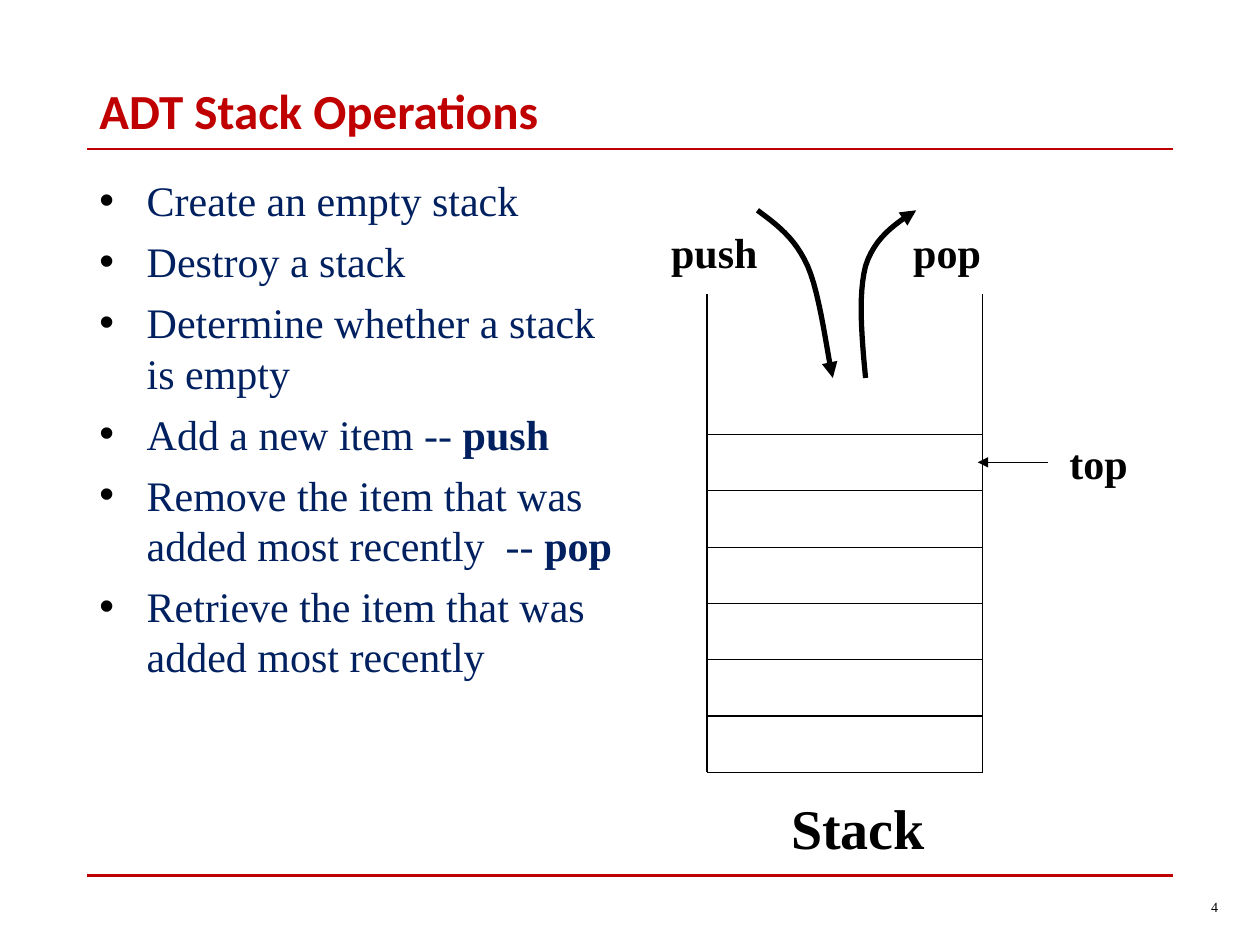
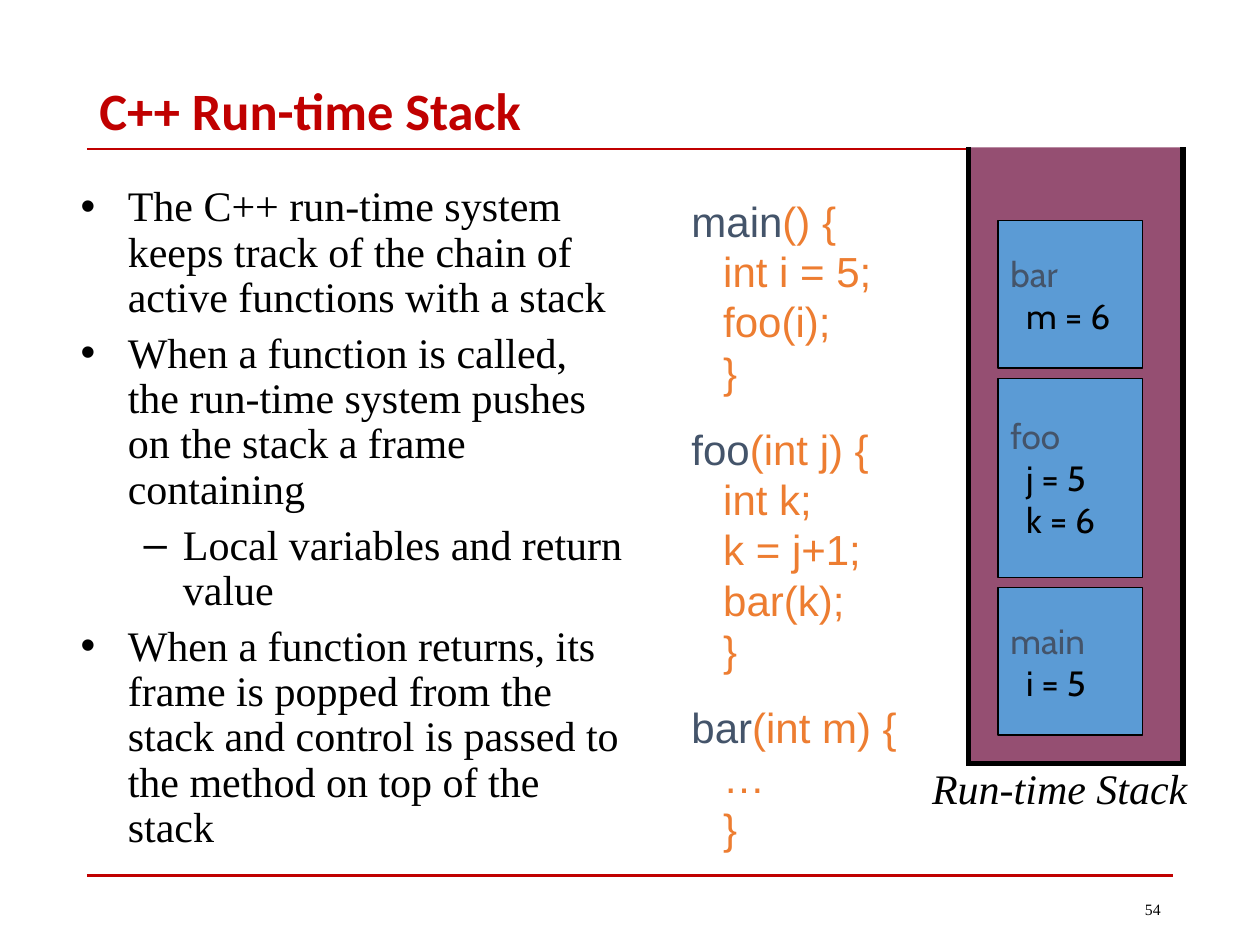
from lxml import etree
from pptx import Presentation
from pptx.dml.color import RGBColor
from pptx.enum.shapes import MSO_CONNECTOR, MSO_SHAPE
from pptx.enum.text import MSO_ANCHOR, MSO_AUTO_SIZE, PP_ALIGN
from pptx.oxml.ns import qn
from pptx.util import Cm, Pt

STRAIGHT = MSO_CONNECTOR.STRAIGHT
RECTANGLE = MSO_SHAPE.RECTANGLE
TOP, MIDDLE = MSO_ANCHOR.TOP, MSO_ANCHOR.MIDDLE
LEFT, CENTER, RIGHT = PP_ALIGN.LEFT, PP_ALIGN.CENTER, PP_ALIGN.RIGHT
NO_AUTO_SIZE = MSO_AUTO_SIZE.NONE

BLACK = RGBColor(0x00, 0x00, 0x00)
RED = RGBColor(0xC0, 0x00, 0x00)
NAVY = RGBColor(0x00, 0x20, 0x60)
SLATE = RGBColor(0x44, 0x54, 0x6A)
ORANGE = RGBColor(0xED, 0x7D, 0x31)
PLUM = RGBColor(0x95, 0x4F, 0x72)
BLUE = RGBColor(0x5B, 0x9B, 0xD5)

SERIF = "Times New Roman"
SANS = "Arial"
TITLE_FONT = "Calibri"
FRAME_FONT = "Cabin"

RULE_LEFT, RULE_RIGHT = 1.75, 23.65
RULE_HEIGHTS = (3.0, 17.65)
TITLE_BOX = (1.75, 1.55, 21.9, 1.47)
CURVE_STEPS = 12


def add_run(paragraph, text, size, font, color, bold, italic):
    for index, line in enumerate(text.split("\n")):
        if index:
            paragraph.add_line_break()
        if line:
            run = paragraph.add_run()
            run.text = line
            run.font.size = Pt(size)
            run.font.name = font
            run.font.bold = bold
            run.font.italic = italic
            run.font.color.rgb = color


def add_bullet_color(paragraph, color):
    properties = paragraph._p.get_or_add_pPr()
    bullet_color = etree.SubElement(properties, qn("a:buClr"))
    etree.SubElement(bullet_color, qn("a:srgbClr"), val=str(color))


def add_tab_stop(paragraph, position):
    properties = paragraph._p.get_or_add_pPr()
    tabs = etree.SubElement(properties, qn("a:tabLst"))
    etree.SubElement(tabs, qn("a:tab"), pos=str(Cm(position)), algn="l")


def write_text(text_frame, paragraphs, *, size=24, font=SERIF, color=BLACK, bold=False,
               italic=False, align=LEFT, anchor=TOP, wrap=True, space_before=0,
               line_spacing=None, levels=None, bullet_color=None, tab=None):
    text_frame.auto_size = NO_AUTO_SIZE
    text_frame.word_wrap = wrap
    text_frame.vertical_anchor = anchor
    for index, runs in enumerate(paragraphs):
        paragraph = text_frame.add_paragraph() if index else text_frame.paragraphs[0]
        if bullet_color is not None:
            add_bullet_color(paragraph, bullet_color)
        if tab:
            add_tab_stop(paragraph, tab)
        if levels:
            paragraph.level = levels[index]
        paragraph.alignment = align
        paragraph.space_before = Pt(space_before if index else 0)
        if line_spacing:
            paragraph.line_spacing = line_spacing
        for run in [runs] if isinstance(runs, str) else runs:
            text, changes = (run, {}) if isinstance(run, str) else run
            run_format = dict(size=size, font=font, color=color, bold=bold, italic=italic)
            add_run(paragraph, text, **{**run_format, **changes})


def add_label(slide, box, text, **text_format):
    label = slide.shapes.add_textbox(*map(Cm, box))
    write_text(label.text_frame, [text], **text_format)


def fill_placeholder(placeholder, box, paragraphs, **text_format):
    placeholder.left, placeholder.top, placeholder.width, placeholder.height = map(Cm, box)
    write_text(placeholder.text_frame, paragraphs, **text_format)


def add_arrowhead(shape):
    etree.SubElement(shape.line._get_or_add_ln(), qn("a:tailEnd"), type="triangle")


def add_line(slide, start, end, color=BLACK, width=0.75, arrow=False):
    line = slide.shapes.add_connector(STRAIGHT, *map(Cm, (*start, *end)))
    line.line.color.rgb = color
    line.line.width = Pt(width)
    if arrow:
        add_arrowhead(line)
    etree.SubElement(line._element.spPr, qn("a:effectLst"))


def curve_points(start, *segments):
    points = [start]
    for first, second, end in segments:
        origin = points[-1]
        for step in range(1, CURVE_STEPS + 1):
            t = step / CURVE_STEPS
            weights = ((1 - t) ** 3, 3 * t * (1 - t) ** 2, 3 * t ** 2 * (1 - t), t ** 3)
            controls = (origin, first, second, end)
            points.append(tuple(sum(weight * control[axis]
                                    for weight, control in zip(weights, controls))
                                for axis in (0, 1)))
    return points


def add_curved_arrow(slide, start, *segments):
    points = [(Cm(x), Cm(y)) for x, y in curve_points(start, *segments)]
    builder = slide.shapes.build_freeform(*points[0])
    builder.add_line_segments(points[1:], close=False)
    arrow = builder.convert_to_shape()
    arrow.shadow.inherit = False
    arrow.fill.background()
    arrow.line.color.rgb = BLACK
    arrow.line.width = Pt(3)
    add_arrowhead(arrow)


def add_rectangle(slide, box, fill, line=None):
    rectangle = slide.shapes.add_shape(RECTANGLE, *map(Cm, box))
    rectangle.shadow.inherit = False
    rectangle.fill.solid()
    rectangle.fill.fore_color.rgb = fill
    if line is None:
        rectangle.line.fill.background()
    else:
        rectangle.line.color.rgb = line
        rectangle.line.width = Pt(0.75)
    return rectangle


def add_content_slide(presentation, title, title_size):
    slide = presentation.slides.add_slide(presentation.slide_layouts[1])
    for height in RULE_HEIGHTS:
        add_line(slide, (RULE_LEFT, height), (RULE_RIGHT, height), RED, 1.5)
    fill_placeholder(slide.shapes.title, TITLE_BOX, [title], size=title_size,
                     font=TITLE_FONT, color=RED, bold=True, anchor=MIDDLE, line_spacing=0.9)
    return slide


def draw_stack(slide):
    left, right, rim, top, bottom = 14.25, 19.81, 5.93, 8.76, 15.57
    slots = 6
    slot_height = (bottom - top) / slots
    for x in (left, right):
        add_line(slide, (x, rim), (x, bottom))
    for index in range(slots + 1):
        y = top + index * slot_height
        add_line(slide, (left, y), (right, y))
    add_curved_arrow(slide, (15.27, 4.24),
                     ((15.65, 4.52), (16.03, 4.8), (16.28, 5.36)),
                     ((16.54, 5.94), (16.69, 7.24), (16.79, 7.62)))
    add_curved_arrow(slide, (17.45, 7.62),
                     ((17.37, 6.78), (17.3, 5.94), (17.45, 5.36)),
                     ((17.63, 4.8), (18.03, 4.52), (18.47, 4.24)))
    add_line(slide, (21.13, 9.32), (19.71, 9.32), arrow=True)
    add_label(slide, (13.28, 4.45, 2.54, 1.27), "push", bold=True)
    add_label(slide, (18.16, 4.45, 2.74, 1.27), "pop", bold=True)
    add_label(slide, (21.31, 8.69, 3.12, 1.7), "top", bold=True)
    add_label(slide, (13.49, 15.88, 7.62, 1.63), "Stack", size=32, bold=True, align=CENTER)


def draw_runtime_stack(slide):
    left, right, top, bottom = 19.53, 23.85, 2.97, 15.44
    add_rectangle(slide, (left, top, right - left, bottom - top), PLUM)
    for x in (left, right):
        add_line(slide, (x, top), (x, bottom), width=3)
    add_line(slide, (left, 15.39), (right, 15.39), width=3)
    frame_top, gap = 4.45, 0.21
    frames = [("bar", ["  m = 6"], 2.97),
              ("foo", ["  j = 5", "  k = 6"], 4.01),
              ("main", ["  i = 5"], 2.97)]
    for name, variables, height in frames:
        frame = add_rectangle(slide, (20.12, frame_top, 2.92, height), BLUE, BLACK)
        write_text(frame.text_frame, [[(name, {"color": SLATE})], *variables],
                   size=20, font=FRAME_FONT, anchor=MIDDLE)
        frame_top += height + gap
    add_label(slide, (18.54, 15.24, 5.64, 1.27), "Run-time Stack", italic=True, wrap=False)


def add_code(slide, box, functions):
    code = slide.shapes.add_textbox(*map(Cm, box))
    paragraphs = [[(name, {"color": SLATE}), body] for name, body in functions]
    write_text(code.text_frame, paragraphs, font=SANS, color=ORANGE,
               space_before=15, tab=0.64)


def build_operations_slide(presentation):
    slide = add_content_slide(presentation, "ADT Stack Operations", 28)
    operations = [
        "Create an empty stack",
        "Destroy a stack",
        "Determine whether a stack is empty",
        ["Add a new item -- ", ("push", {"bold": True})],
        ["Remove the item that was added most recently  -- ", ("pop", {"bold": True})],
        "Retrieve the item that was added most recently",
    ]
    fill_placeholder(slide.placeholders[1], (1.75, 3.4, 10.95, 14.17), operations,
                     color=NAVY, bullet_color=BLACK, space_before=6)
    draw_stack(slide)
    add_label(slide, (19.53, 17.98, 5.28, 0.64), "4", size=8, align=RIGHT)


def build_runtime_slide(presentation):
    slide = add_content_slide(presentation, "C++ Run-time Stack", 30)
    points = [
        "The C++ run-time system keeps track of the chain of active functions with a stack",
        "When a function is called, the run-time system pushes on the stack a frame containing",
        "Local variables and return value",
        "When a function returns, its frame is popped from the stack and control is passed "
        "to the method on top of the stack",
    ]
    fill_placeholder(slide.placeholders[1], (1.37, 3.61, 11.53, 13.13), points,
                     levels=(0, 0, 1, 0), bullet_color=BLACK, space_before=6,
                     line_spacing=0.9)
    add_code(slide, (13.69, 3.81, 4.88, 13.51), [
        ("main", "() {\n\tint i = 5;\n\tfoo(i);\n\t}"),
        ("foo", "(int j) {\n\tint k;\n\tk = j+1;\n\tbar(k);\n\t}"),
        ("bar", "(int m) {\n\t…\n\t}"),
    ])
    draw_runtime_stack(slide)
    add_label(slide, (17.93, 17.81, 5.72, 1.02), "54", size=9, align=RIGHT, anchor=MIDDLE)


def main():
    presentation = Presentation()
    presentation.slide_width = Cm(25.4)
    presentation.slide_height = Cm(19.05)
    build_operations_slide(presentation)
    build_runtime_slide(presentation)
    presentation.save("out.pptx")


if __name__ == "__main__":
    main()
